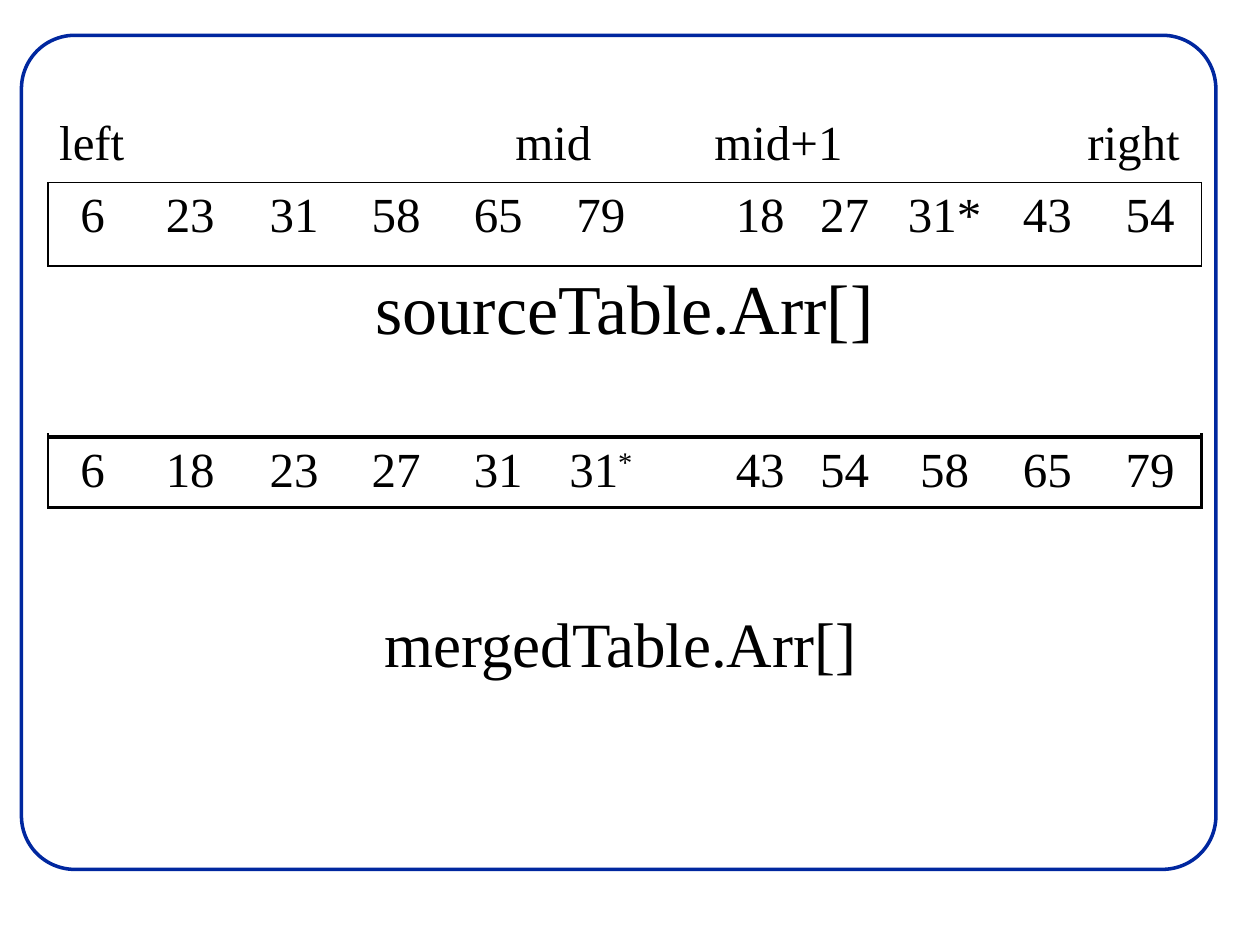
from lxml.etree import SubElement
from pptx import Presentation
from pptx.dml.color import RGBColor
from pptx.enum.shapes import MSO_CONNECTOR, MSO_SHAPE
from pptx.enum.text import MSO_ANCHOR, PP_ALIGN
from pptx.oxml import parse_xml
from pptx.oxml.ns import nsdecls, qn
from pptx.util import Inches, Pt


def color(code):
    return RGBColor.from_string(code)


def write(frame, text, size=28, align=PP_ALIGN.CENTER, sup=""):
    para = frame.paragraphs[0]
    para.alignment = align
    for part in filter(None, (text, sup)):
        run = para.add_run()
        run.text = part
        run.font.size = Pt(size)
        run.font.name = "Times New Roman"
        run.font.color.rgb = color("000000")
    if sup:
        run._r.get_or_add_rPr().set("baseline", "30000")


deck = Presentation()
deck.slide_width, deck.slide_height = Inches(10), Inches(7.5)
slide = deck.slides.add_slide(deck.slide_layouts[6])
shapes = slide.shapes

frame = shapes.add_shape(MSO_SHAPE.ROUNDED_RECTANGLE, Inches(0.17), Inches(0.28), Inches(9.48), Inches(6.62))
frame.adjustments[0] = 0.064
frame.shadow.inherit = False
frame.fill.background()
frame.line.color.rgb = color("00279F")
frame.line.width = Pt(2)

widths = [0.71, 0.84, 0.81, 0.81, 0.81, 0.82, 0.57, 0.57, 0.77, 0.82, 0.81, 0.82]
heights = [0.62, 0.66, 1.33, 0.59]
last = len(widths) - 1
grid = shapes.add_table(len(heights), len(widths), Inches(0.38), Inches(0.83),
                        Inches(sum(widths)), Inches(sum(heights))).table
grid.first_row = grid.horz_banding = False
for col, width in zip(grid.columns, widths):
    col.width = Inches(width)
for row, height in zip(grid.rows, heights):
    row.height = Inches(height)

rules = [0, 1, 1, 0, 2]
ends = {1: (1, 1), 3: (1, 2)}
for r in range(len(heights)):
    for c in range(len(widths)):
        cell = grid.cell(r, c)
        cell.margin_left = cell.margin_right = Inches(0.05)
        cell.vertical_anchor = MSO_ANCHOR.TOP if r in (1, 2) else MSO_ANCHOR.MIDDLE
        cell.fill.background()
        left, right = ends.get(r, (0, 0))
        sides = {"L": left if c == 0 else 0, "R": right if c == last else 0,
                 "T": rules[r], "B": rules[r + 1]}
        props = cell._tc.get_or_add_tcPr()
        for spot, (side, width) in enumerate(sides.items()):
            paint = '<a:solidFill><a:srgbClr val="000000"/></a:solidFill>' if width else "<a:noFill/>"
            props.insert(spot, parse_xml(f'<a:ln{side} {nsdecls("a")} w="{Pt(width)}">{paint}</a:ln{side}>'))

for r in (0, 2):
    grid.cell(r, 0).merge(grid.cell(r, last))

head = grid.cell(0, 0)
head.margin_left = Inches(0.09)
write(head.text_frame, "left\tmid\tmid+1\tright", align=PP_ALIGN.LEFT)
stops = SubElement(head.text_frame.paragraphs[0]._p.get_or_add_pPr(), qn("a:tabLst"))
for stop in (3.62, 5.2, 8.16):
    SubElement(stops, qn("a:tab"), pos=str(Inches(stop)), algn="l")

write(grid.cell(2, 0).text_frame, "sourceTable.Arr[]", size=40)
source = ["6", "23", "31", "58", "65", "79", "", "18", "27", "31*", "43", "54"]
merged = ["6", "18", "23", "27", "31", "31", "", "43", "54", "58", "65", "79"]
for r, items in ((1, source), (3, merged)):
    for c, item in enumerate(items):
        write(grid.cell(r, c).text_frame, item, sup="*" if (r, c) == (3, 5) else "")

label = shapes.add_textbox(Inches(2.77), Inches(4.75), Inches(4.31), Inches(0.7)).text_frame
label.word_wrap = True
write(label, "mergedTable.Arr[]", size=36)

rule = shapes.add_connector(MSO_CONNECTOR.STRAIGHT, Inches(0.38), Inches(3.47), Inches(9.54), Inches(3.47))
rule.line.color.rgb = color("000000")
rule.line.width = Pt(2.25)
SubElement(rule._element.spPr, qn("a:effectLst"))

deck.save("out.pptx")
